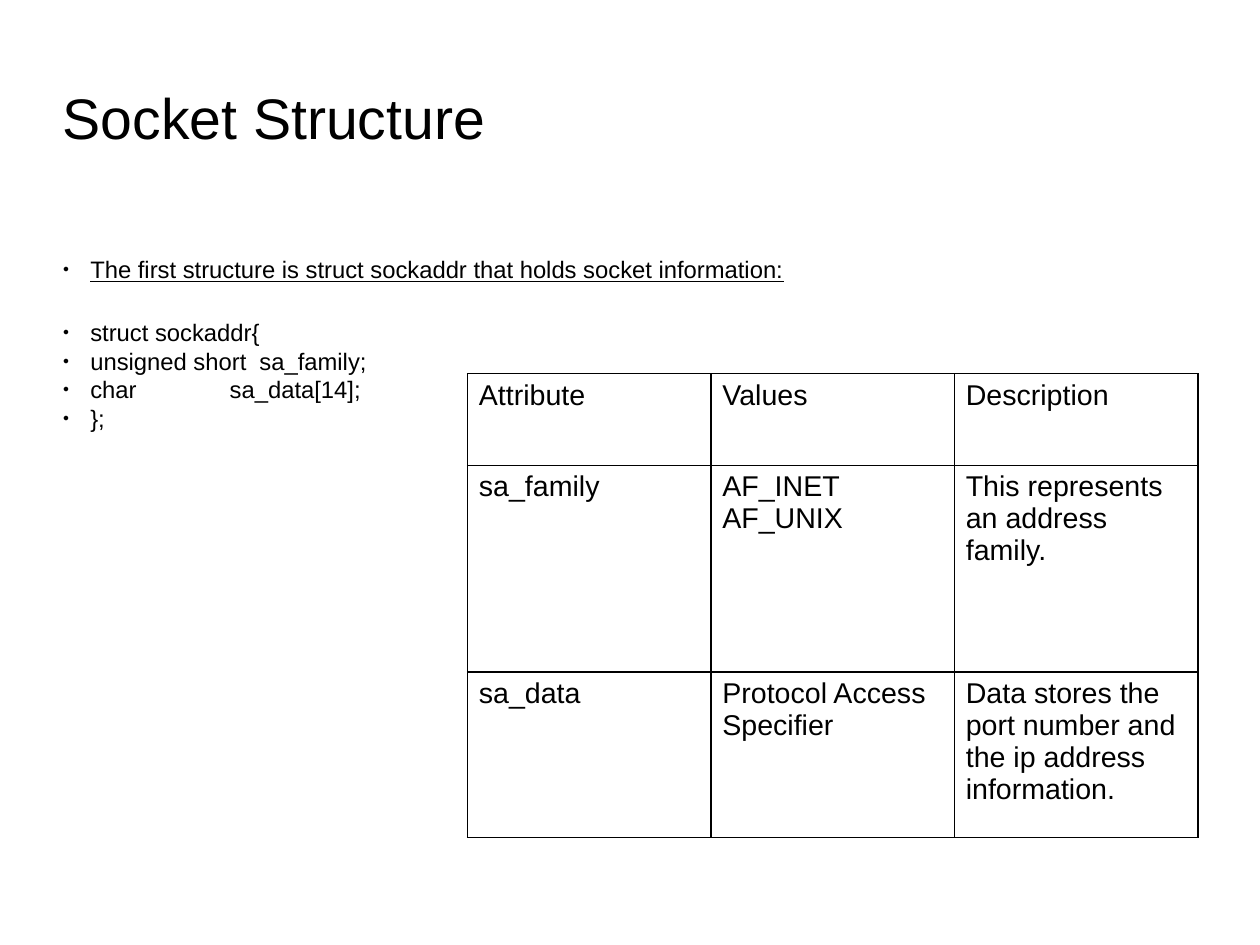
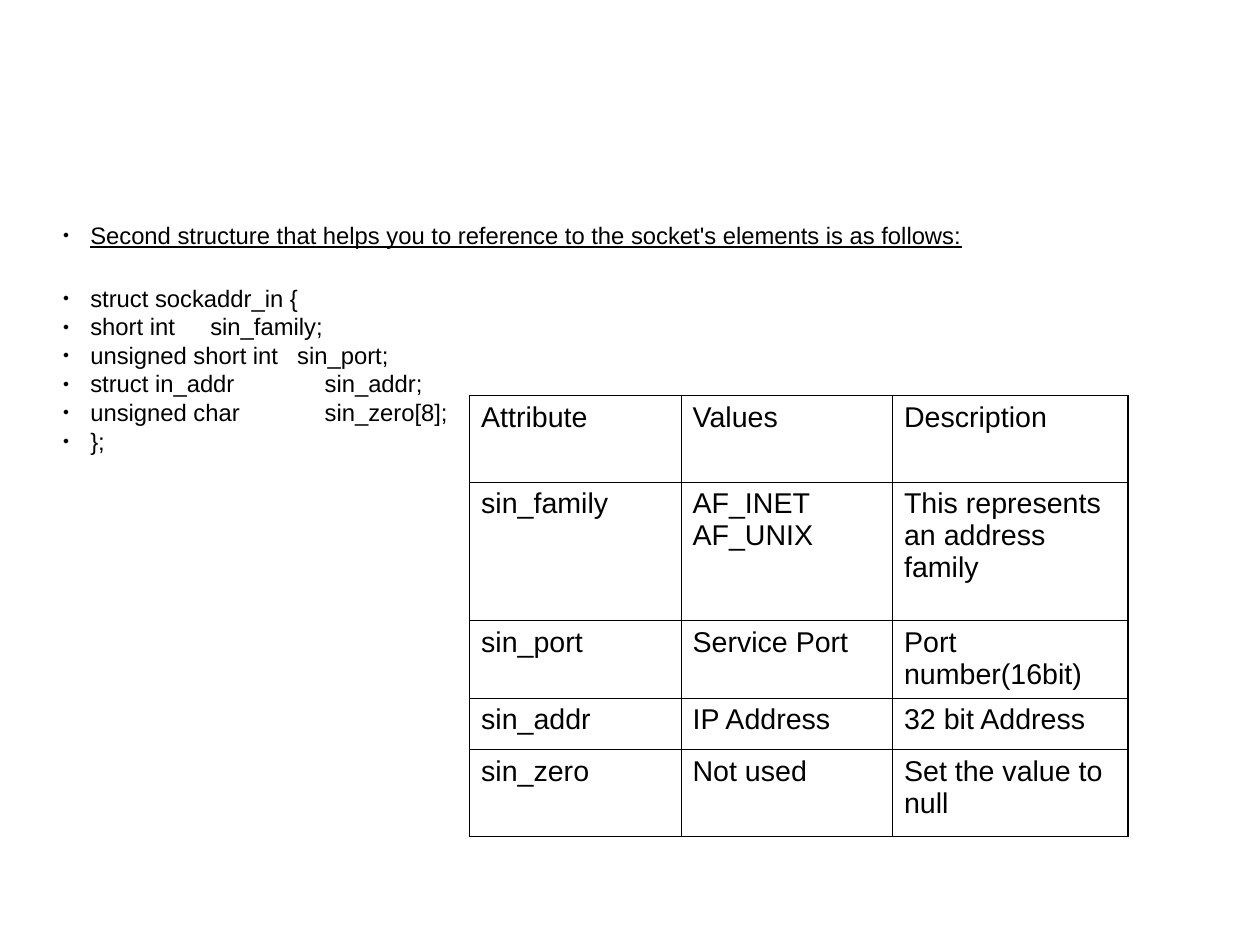
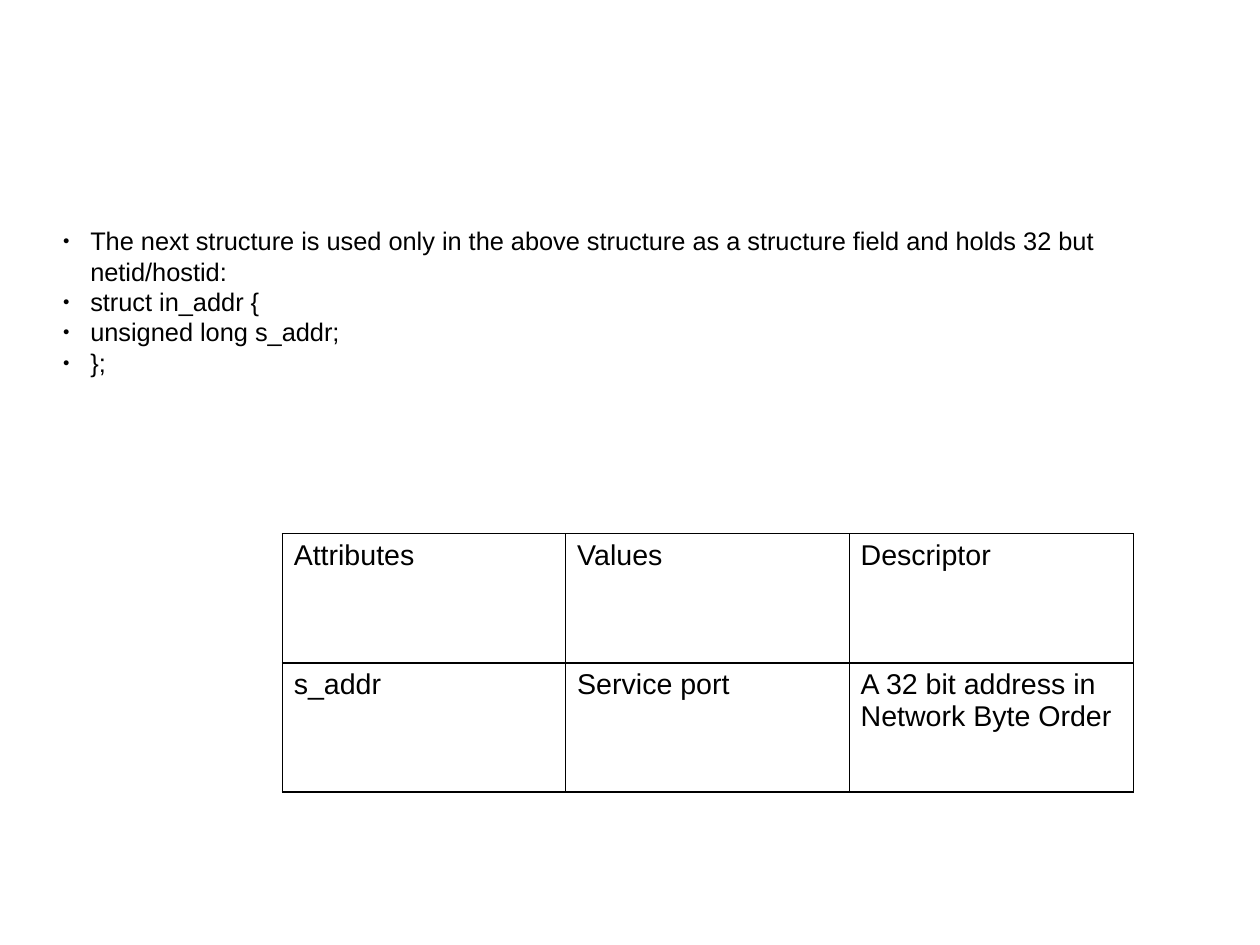
from dataclasses import dataclass

from lxml import etree
from pptx import Presentation
from pptx.dml.color import RGBColor
from pptx.enum.text import MSO_ANCHOR, MSO_AUTO_SIZE, PP_ALIGN
from pptx.oxml.ns import qn
from pptx.util import Cm, Inches, Pt

LEFT = PP_ALIGN.LEFT
TOP = MSO_ANCHOR.TOP
MIDDLE = MSO_ANCHOR.MIDDLE
NO_AUTOFIT = MSO_AUTO_SIZE.NONE
TITLE_ONLY, BLANK = 5, 6


@dataclass(frozen=True)
class Theme:
    """Colours, type sizes and measures shared by the slides."""
    font: str = "Arial"
    ink: RGBColor = RGBColor(0, 0, 0)
    paper: RGBColor = RGBColor(255, 255, 255)
    title_size: float = 36
    code_size: float = 15
    note_size: float = 16
    table_size: float = 18
    line_spacing: float = 1.0
    heading_gap: float = 21.6
    border: float = 1
    margin: float = 0.55
    width: float = 9.92
    indent: float = 0.24


THEME = Theme()


def style_runs(para, size, underline=False):
    """Apply the shared font to each run of a paragraph."""
    para.alignment = LEFT
    for span in para.runs:
        span.font.name = THEME.font
        span.font.size = Pt(size)
        span.font.bold = False
        span.font.underline = underline
        span.font.color.rgb = THEME.ink


def prepare_frame(frame, anchor):
    """Give a text frame zero insets, wrapping and an anchor."""
    frame.auto_size = NO_AUTOFIT
    frame.word_wrap = True
    frame.vertical_anchor = anchor
    frame.margin_left = frame.margin_right = 0
    frame.margin_top = frame.margin_bottom = 0


def add_page(deck, layout):
    """Add a slide on a white background."""
    page = deck.slides.add_slide(deck.slide_layouts[layout])
    page.background.fill.solid()
    page.background.fill.fore_color.rgb = THEME.paper
    return page


def set_title(page, text):
    """Place and format the title placeholder."""
    title = page.shapes.title
    title.left, title.top = Inches(THEME.margin), Inches(0.33)
    title.width, title.height = Inches(THEME.width), Inches(1.38)
    prepare_frame(title.text_frame, MIDDLE)
    title.text_frame.text = text
    style_runs(title.text_frame.paragraphs[0], THEME.title_size)


def set_bullet(para, tab=None):
    """Give a paragraph a hanging bullet and an optional tab stop."""
    props = para._p.get_or_add_pPr()
    props.set("marL", str(Inches(THEME.indent)))
    props.set("indent", str(-Inches(THEME.indent)))
    etree.SubElement(props, qn("a:buSzPct"), val="45000")
    etree.SubElement(props, qn("a:buFont"), typeface=THEME.font)
    etree.SubElement(props, qn("a:buChar"), char="●")
    if tab is not None:
        stops = etree.SubElement(props, qn("a:tabLst"))
        etree.SubElement(stops, qn("a:tab"), pos=str(Inches(tab)), algn="l")


def add_bullets(page, top, size, heading, lines, underline=False):
    """Add a heading and lines, each line a text with its tab stop."""
    box = page.shapes.add_textbox(
        Inches(THEME.margin), Inches(top), Inches(THEME.width), Inches(4.79))
    frame = box.text_frame
    prepare_frame(frame, TOP)
    items = [(heading, None)] + lines
    frame.text = "\n".join(text for text, _ in items)
    for index, (para, (_, tab)) in enumerate(zip(frame.paragraphs, items)):
        is_heading = underline and index == 0
        style_runs(para, size, is_heading)
        para.line_spacing = THEME.line_spacing
        para.space_before = Pt(0)
        para.space_after = Pt(THEME.heading_gap if is_heading else 0)
        set_bullet(para, tab)


def set_borders(cell):
    """Draw a thin line on all four sides of a cell."""
    props = cell._tc.get_or_add_tcPr()
    for side in ("lnL", "lnR", "lnT", "lnB"):
        line = etree.SubElement(
            props, qn(f"a:{side}"), w=str(Pt(THEME.border)))
        fill = etree.SubElement(line, qn("a:solidFill"))
        etree.SubElement(fill, qn("a:srgbClr"), val=str(THEME.ink))


def add_grid(page, left, top, widths, heights, rows):
    """Add a plain bordered table."""
    table = page.shapes.add_table(
        len(heights), len(widths), Inches(left), Inches(top),
        Inches(sum(widths)), Inches(sum(heights))).table
    table.first_row = table.horz_banding = False
    for column, width in zip(table.columns, widths):
        column.width = Inches(width)
    for row, height, texts in zip(table.rows, heights, rows):
        row.height = Inches(height)
        for cell, text in zip(row.cells, texts):
            cell.text_frame.text = text
            set_borders(cell)
            cell.fill.solid()
            cell.fill.fore_color.rgb = THEME.paper
            for para in cell.text_frame.paragraphs:
                style_runs(para, THEME.table_size)


def build_sockaddr(deck):
    """Build the slide on struct sockaddr."""
    page = add_page(deck, TITLE_ONLY)
    set_title(page, "Socket Structure")
    add_bullets(
        page, 2.23, THEME.code_size,
        "The first structure is struct sockaddr that holds socket information:",
        [("struct sockaddr{", None),
         ("unsigned short\tsa_family;", 1.72),
         ("char\tsa_data[14];", 1.46),
         ("};", None)],
        underline=True)
    add_grid(page, 4.09, 3.27, [2.13] * 3, [0.8, 1.81, 1.45], [
        ("Attribute", "Values", "Description"),
        ("sa_family", "AF_INET\nAF_UNIX", "This represents an address family."),
        ("sa_data", "Protocol Access Specifier",
         "Data stores the port number and the ip address information."),
    ])


def build_sockaddr_in(deck):
    """Build the slide on struct sockaddr_in."""
    page = add_page(deck, BLANK)
    add_bullets(
        page, 1.93, THEME.code_size,
        "Second structure that helps you to reference to the socket's "
        "elements is as follows:",
        [("struct sockaddr_in {", None),
         ("short int\tsin_family;", 1.29),
         ("unsigned short int\tsin_port;", 2.05),
         ("struct in_addr\tsin_addr;", 2.29),
         ("unsigned char\tsin_zero[8];", 2.29),
         ("};", None)],
        underline=True)
    heights = [0.76, 1.21, 0.68, 0.45, 0.76]
    add_grid(page, 4.11, 3.46, [1.85, 1.85, 2.06], heights, [
        ("Attribute", "Values", "Description"),
        ("sin_family", "AF_INET\nAF_UNIX", "This represents an address family"),
        ("sin_port", "Service Port", "Port number(16bit)"),
        ("sin_addr", "IP Address", "32 bit Address"),
        ("sin_zero", "Not used", "Set the value to null"),
    ])


def build_in_addr(deck):
    """Build the slide on struct in_addr."""
    page = add_page(deck, BLANK)
    add_bullets(
        page, 1.97, THEME.note_size,
        "The next structure is used only in the above structure as a "
        "structure field and holds 32 but netid/hostid:",
        [("struct in_addr {", None),
         ("unsigned long s_addr;", None),
         ("};", None)])
    add_grid(page, 2.47, 4.67, [2.48, 2.48, 2.49], [1.13] * 2, [
        ("Attributes", "Values", "Descriptor"),
        ("s_addr", "Service port", "A 32 bit address in Network Byte Order"),
    ])


def main():
    """Build and save the deck."""
    deck = Presentation()
    deck.slide_width, deck.slide_height = Cm(28), Cm(21)
    build_sockaddr(deck)
    build_sockaddr_in(deck)
    build_in_addr(deck)
    deck.save("out.pptx")


if __name__ == "__main__":
    main()
